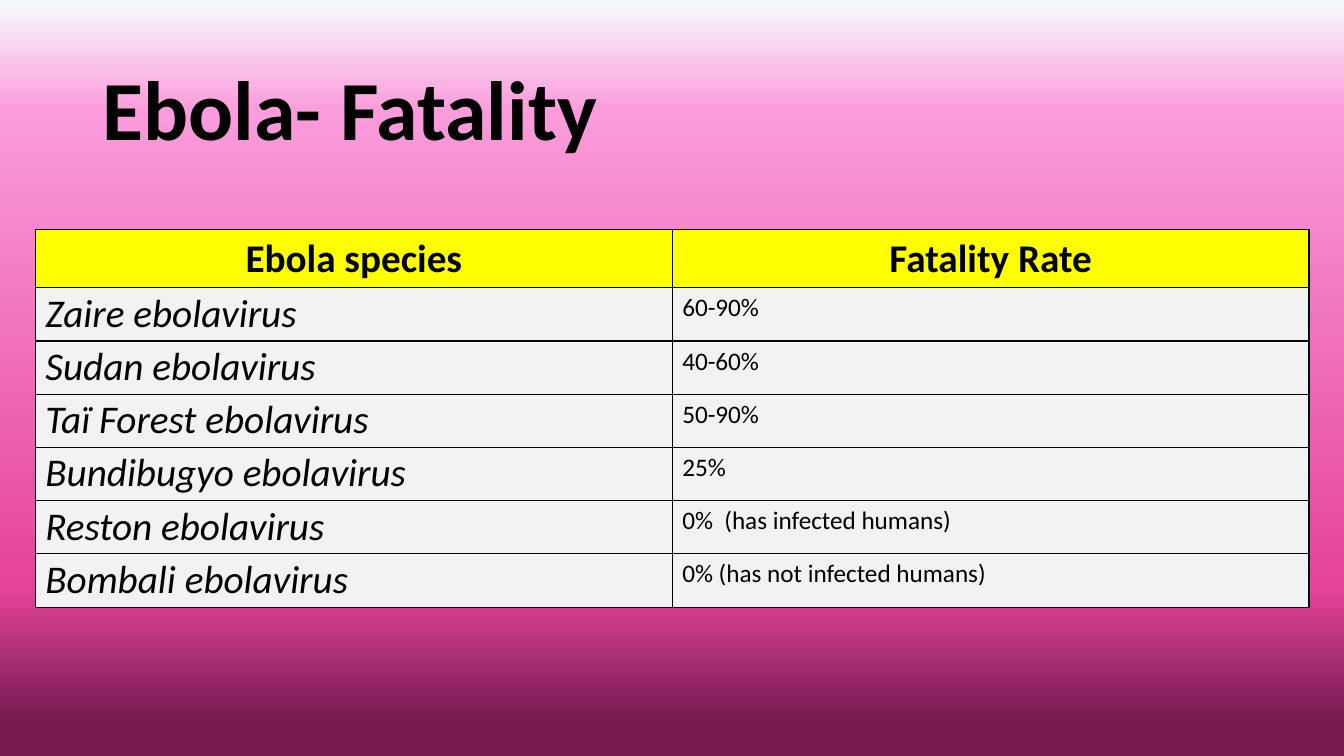
import dataclasses

import lxml.etree
import pptx
import pptx.dml.color
import pptx.enum.text
import pptx.oxml.ns
import pptx.util
from pptx.util import Cm, Pt

qn = pptx.oxml.ns.qn


@dataclasses.dataclass(frozen=True)
class Theme:
    font: str = "Calibri"
    ink: str = "000000"
    header_fill: str = "FFFF00"
    body_fill: str = "F2F2F2"
    gradient: tuple = ((0, "F7FAFD"), (15, "FB9BDB"), (78, "E54398"), (95, "771B52"))
    title_size: int = 60
    table_size: int = 28
    rate_size: int = 18
    border: int = 1


THEME = Theme()
HEADINGS = ("Ebola species", "Fatality Rate")
SPECIES = (
    ("Zaire ebolavirus", "60-90%"),
    ("Sudan ebolavirus", "40-60%"),
    ("Taï Forest ebolavirus", "50-90%"),
    ("Bundibugyo ebolavirus", "25%"),
    ("Reston ebolavirus", "0%  (has infected humans)"),
    ("Bombali ebolavirus", "0% (has not infected humans)"),
)


def rgb(color):
    return pptx.dml.color.RGBColor.from_string(color)


def style(para, size, bold=False, italic=False):
    para.font.name = THEME.font
    para.font.size = Pt(size)
    para.font.bold = bold
    para.font.italic = italic
    para.font.color.rgb = rgb(THEME.ink)


def paint_background(page):
    fill = page.background.fill
    fill.gradient()
    fill.gradient_angle = 270  # measured counter-clockwise: top to bottom
    stops = next(page.element.iter(qn("a:gsLst")))
    for stop in list(stops):
        stops.remove(stop)
    for percent, color in THEME.gradient:
        stop = lxml.etree.SubElement(stops, qn("a:gs"), pos=str(percent * 1000))
        lxml.etree.SubElement(stop, qn("a:srgbClr"), val=color)


def add_title(page, left, top, width, height):
    title = page.shapes.title
    title.left, title.top, title.width, title.height = left, top, width, height
    frame = title.text_frame
    frame.text = "Ebola- Fatality"
    frame.word_wrap = True
    frame.vertical_anchor = pptx.enum.text.MSO_ANCHOR.MIDDLE
    para = frame.paragraphs[0]
    para.alignment = pptx.enum.text.PP_ALIGN.LEFT
    para.line_spacing = 0.9
    style(para, THEME.title_size, bold=True)


def format_cell(cell, fill):
    # Borders come before the fill in the cell properties
    props = cell._tc.get_or_add_tcPr()
    for side in ("lnL", "lnR", "lnT", "lnB"):
        line = lxml.etree.SubElement(props, qn("a:" + side), w=str(Pt(THEME.border)))
        solid = lxml.etree.SubElement(line, qn("a:solidFill"))
        lxml.etree.SubElement(solid, qn("a:srgbClr"), val=THEME.ink)
    cell.fill.solid()
    cell.fill.fore_color.rgb = rgb(fill)


def add_fatality_table(page, left, top, width, header_height, row_height):
    rows = (HEADINGS, *SPECIES)
    height = header_height + row_height * len(SPECIES)
    table = page.shapes.add_table(len(rows), 2, left, top, width, height).table
    for column in table.columns:
        column.width = width // 2
    for r, texts in enumerate(rows):
        table.rows[r].height = row_height if r else header_height
        for c, text in enumerate(texts):
            cell = table.cell(r, c)
            format_cell(cell, THEME.body_fill if r else THEME.header_fill)
            cell.text = text
            para = cell.text_frame.paragraphs[0]
            if r == 0:
                para.alignment = pptx.enum.text.PP_ALIGN.CENTER
                style(para, THEME.table_size, bold=True)
            elif c == 0:
                para.line_spacing = 0.9
                style(para, THEME.table_size, italic=True)
            else:
                style(para, THEME.rate_size)


def main():
    deck = pptx.Presentation()
    deck.slide_width, deck.slide_height = Cm(33.87), Cm(19.05)
    page = deck.slides.add_slide(deck.slide_layouts[5])
    paint_background(page)
    add_title(page, Cm(2.33), Cm(1.01), Cm(29.21), Cm(3.68))
    add_fatality_table(page, Cm(0.89), Cm(5.79), Cm(32.1), Cm(1.46), Cm(1.34))
    deck.save("out.pptx")


if __name__ == "__main__":
    main()
